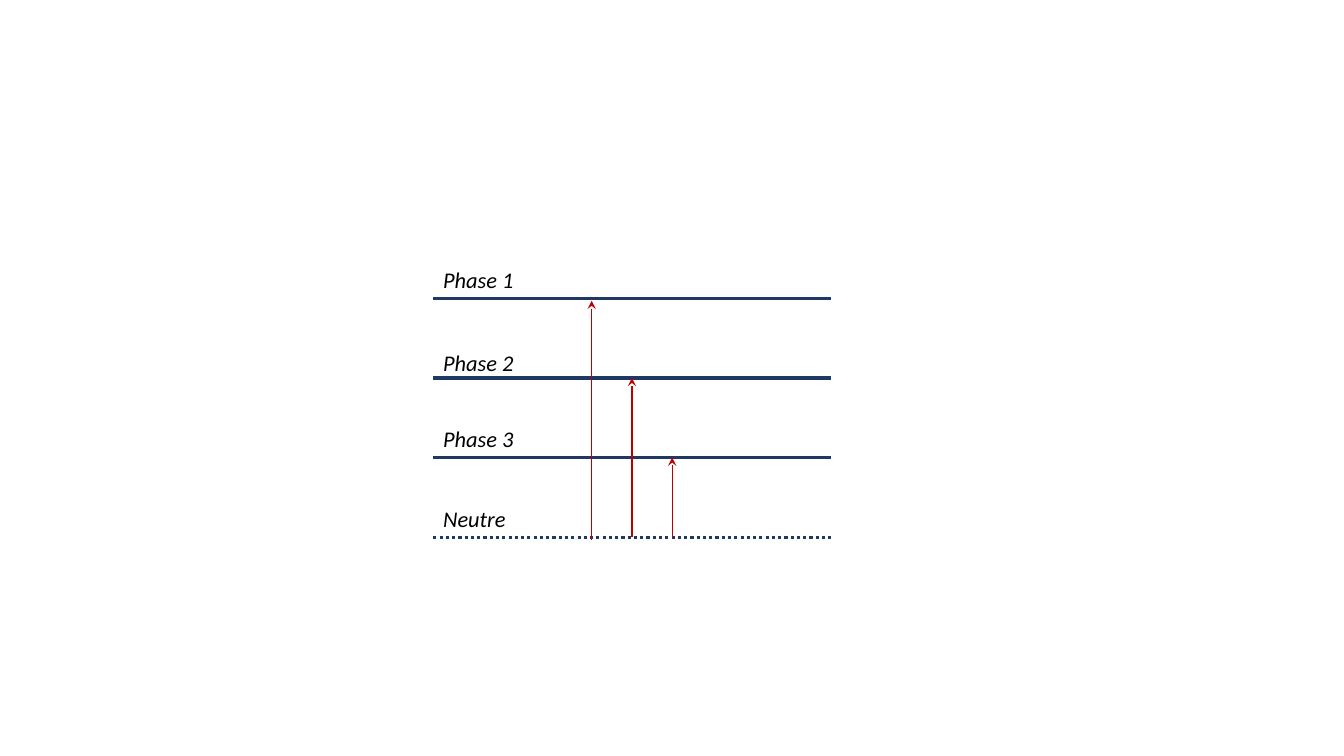
from lxml.etree import SubElement
from pptx import Presentation
from pptx.dml.color import RGBColor
from pptx.enum.dml import MSO_LINE
from pptx.enum.shapes import MSO_CONNECTOR
from pptx.enum.text import MSO_AUTO_SIZE
from pptx.oxml.ns import qn
from pptx.util import Cm, Pt

COLORS = {"conductor": "203864", "voltage": "C00000", "text": "000000"}
LEFT, RIGHT = 10.92, 20.93
FIRST_LINE, LINE_STEP = 7.52, 2.005
FIRST_ARROW, ARROW_STEP = 14.91, 1.015


class PhaseDiagram:
    """Draws conductors, their labels and voltage arrows on one slide."""

    font_name = "Calibri"
    font_size = Pt(16)

    def __init__(self, slide):
        self.shapes = slide.shapes

    def line(self, start, end, color, width):
        connector = self.shapes.add_connector(
            MSO_CONNECTOR.STRAIGHT, *(Cm(value) for value in (*start, *end)))
        connector.line.color.rgb = RGBColor.from_string(COLORS[color])
        connector.line.width = Pt(width)
        SubElement(connector._element.spPr, qn("a:effectLst"))
        return connector

    def conductor(self, top, dotted):
        connector = self.line((LEFT, top), (RIGHT, top), "conductor", 2.25)
        if dotted:
            connector.line.dash_style = MSO_LINE.ROUND_DOT

    def arrow(self, left, bottom, top):
        connector = self.line((left, bottom), (left, top), "voltage", 1)
        SubElement(connector.line._get_or_add_ln(), qn("a:tailEnd"), type="stealth")

    def label(self, text, top, width):
        shape = self.shapes.add_textbox(Cm(LEFT), Cm(top), Cm(width), Cm(0.94))
        text_frame = shape.text_frame
        text_frame.word_wrap = False
        text_frame.auto_size = MSO_AUTO_SIZE.SHAPE_TO_FIT_TEXT
        text_frame.text = text
        font = text_frame.paragraphs[0].runs[0].font
        font.name = self.font_name
        font.size = self.font_size
        font.italic = True
        font.color.rgb = RGBColor.from_string(COLORS["text"])


def main():
    presentation = Presentation()
    presentation.slide_width = Cm(33.87)
    presentation.slide_height = Cm(19.05)
    slide = presentation.slides.add_slide(presentation.slide_layouts[6])
    diagram = PhaseDiagram(slide)

    line_tops = [FIRST_LINE + LINE_STEP * index for index in range(4)]
    neutral = line_tops[-1]
    for top in line_tops:
        diagram.conductor(top, dotted=top == neutral)

    labels = [("Phase 1", 0.94, 2.31), ("Phase 2", 0.84, 2.31),
              ("Phase 3", 0.94, 2.31), ("Neutre", 0.94, 2.11)]
    for top, (text, rise, width) in zip(line_tops, labels):
        diagram.label(text, top - rise, width)

    for index, shift in enumerate((0.06, 0, 0)):
        diagram.arrow(FIRST_ARROW + ARROW_STEP * index,
                      neutral + shift, line_tops[index] + shift)

    presentation.save("out.pptx")


if __name__ == "__main__":
    main()
